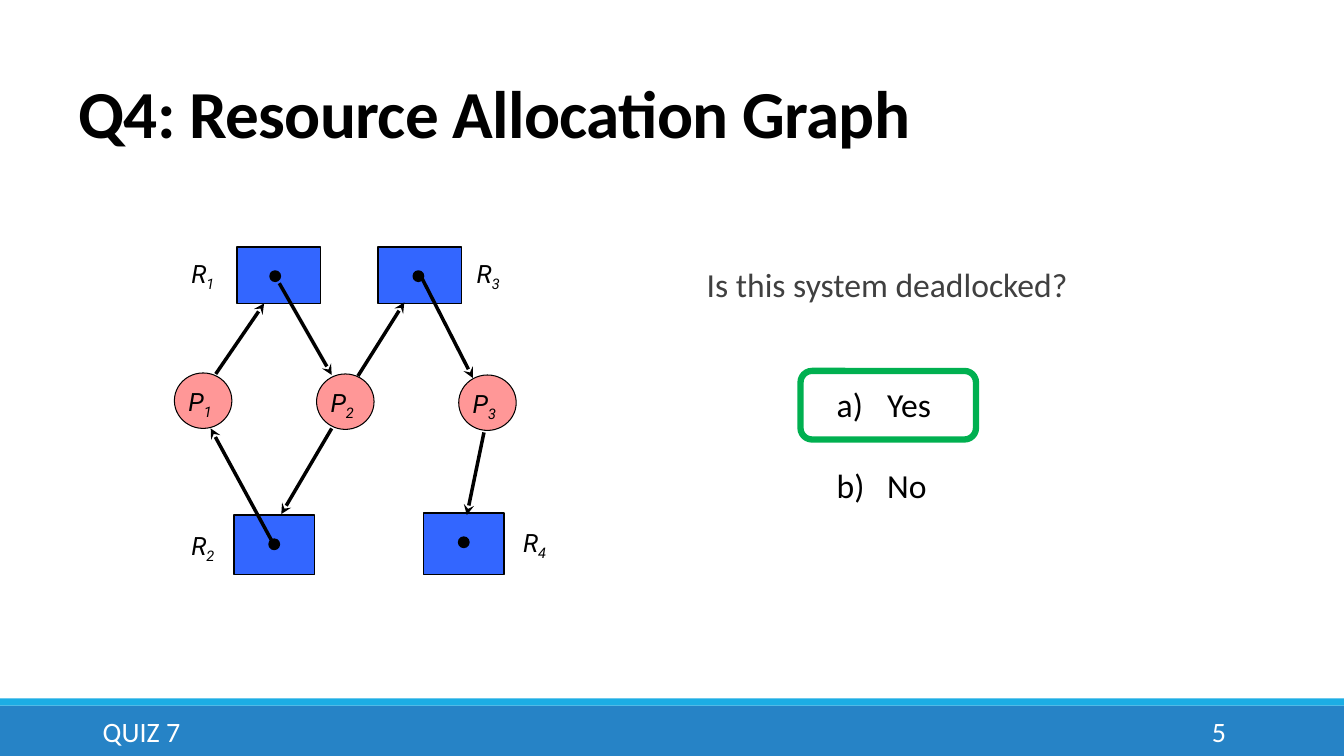
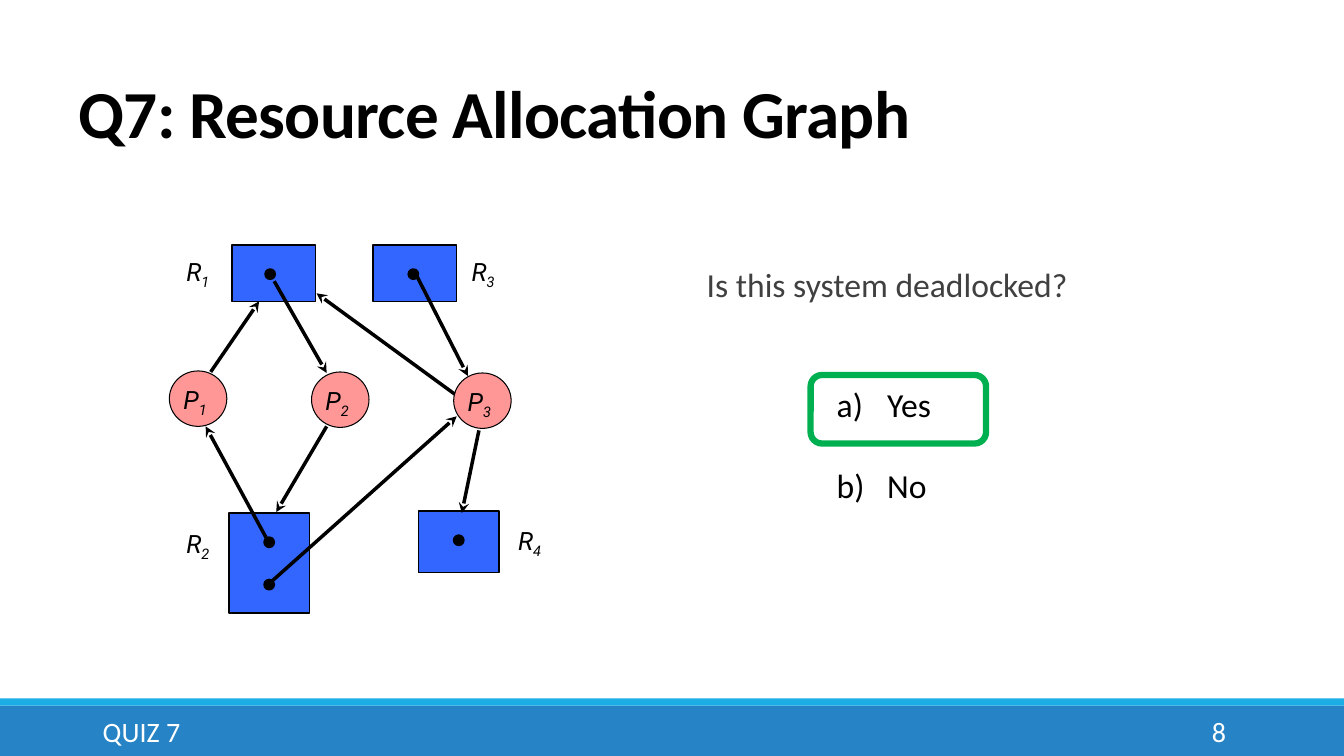
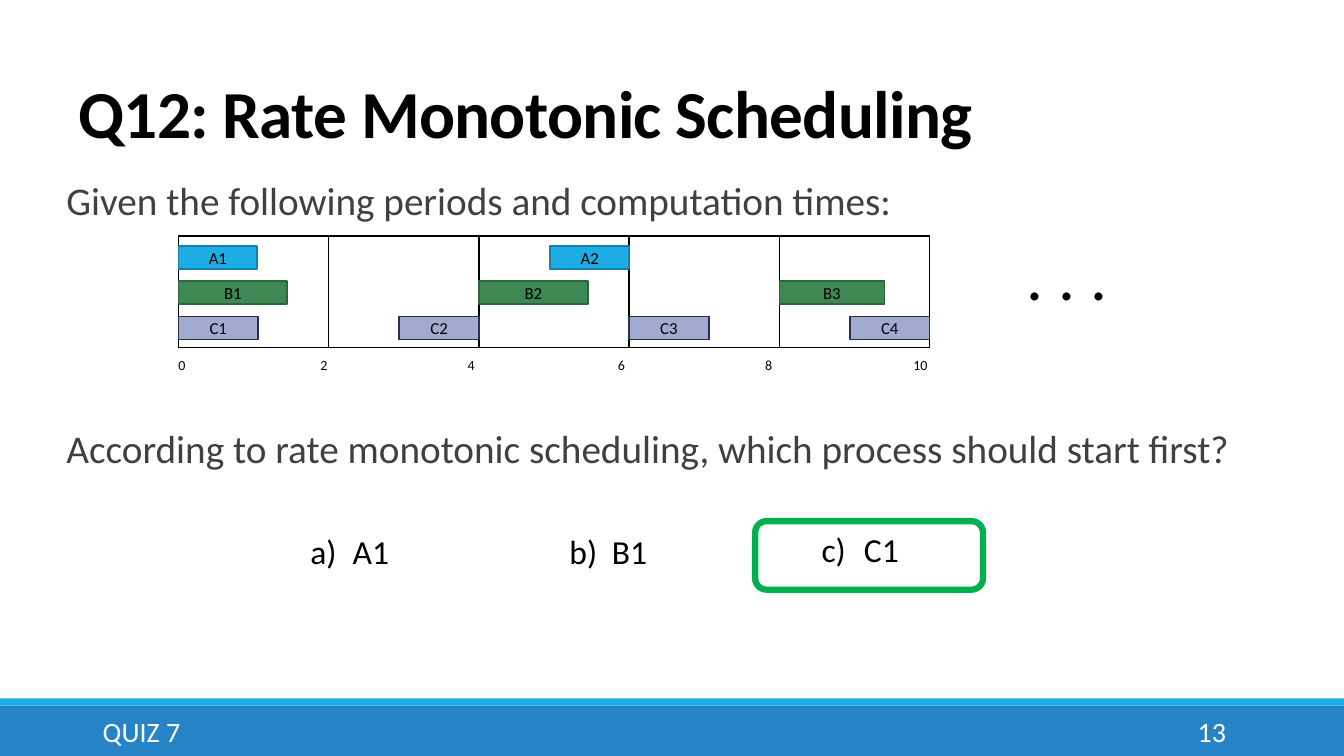
"""Build three quiz slides: two resource allocation graphs and one schedule."""
from dataclasses import dataclass

from lxml.etree import SubElement
from pptx import Presentation
from pptx.dml.color import RGBColor
from pptx.enum.shapes import MSO_CONNECTOR as CONN, MSO_SHAPE as SHAPE
from pptx.enum.text import MSO_ANCHOR as ANCHOR, PP_ALIGN as ALIGN
from pptx.oxml.ns import qn
from pptx.util import Inches, Pt


@dataclass(frozen=True)
class Theme:
    font: str = "Calibri"
    graph_font: str = "Roboto"
    black: str = "000000"
    white: str = "FFFFFF"
    body: str = "404040"
    footer: str = "2683C6"
    accent: str = "1CADE4"
    resource: str = "3366FF"
    process: str = "FF9797"
    answer: str = "00B050"
    title_pt: int = 48
    body_pt: int = 28
    option_pt: int = 24
    footer_pt: int = 20
    node_pt: int = 18
    bar_pt: int = 12
    tick_pt: int = 10


T = Theme()

FOOTER = "QUIZ 7"
QUESTION = "Is this system deadlocked?"
ANSWERS = ["Yes", "No"]

RESOURCES = {
    "R1": dict(box=(2.35, 2.45, 0.83, 0.56), label=(1.8, 2.51), dot=0.33),
    "R3": dict(box=(3.75, 2.45, 0.83, 0.56), label=(4.63, 2.51), dot=0.35),
    "R4": dict(box=(4.2, 5.09, 0.8, 0.61), label=(5.09, 5.18), dot=0.35),
    "R2": dict(box=(2.32, 5.11, 0.8, 0.59), label=(1.8, 5.21), dot=0.35),
}
PROCESSES = ["P1", "P2", "P3"]
EDGES = {
    "R2-P1": (2.72, 5.41, 2.09, 4.25),
    "P2-R2": (3.29, 4.25, 2.79, 5.1),
    "P1-R1": (2.14, 3.71, 2.62, 3.01),
    "R3-P3": (4.18, 2.75, 4.69, 3.75),
    "R1-P2": (2.77, 2.81, 3.29, 3.72),
    "P3-R4": (4.8, 4.29, 4.63, 5.11),
    "P2-R3": (3.55, 3.73, 4.01, 3),
    "R2-P3": (2.72, 5.81, 4.58, 4.15),
    "P3-R1": (4.56, 3.93, 3.19, 2.93),
}
SHARED_EDGES = ["R2-P1", "P2-R2", "P1-R1", "R3-P3", "R1-P2", "P3-R4"]
GRAPHS = [
    dict(title="Q4: Resource Allocation Graph", page=5, shift=(0, 0),
         extra=["P2-R3"], double=None, mark=(7.94, 3.68)),
    dict(title="Q7: Resource Allocation Graph", page=8, shift=(-0.05, -0.02),
         extra=["R2-P3", "P3-R1"], double="R2", mark=(8.04, 3.72)),
]

SCHEDULE_TITLE = "Q12: Rate Monotonic Scheduling"
SCHEDULE_PAGE = 13
STATEMENTS = [
    (1.75, "Given the following periods and computation times:"),
    (4.21, "According to rate monotonic scheduling, which process should start first?"),
]
TICKS = [("0", 1.67), ("2", 3.08), ("4", 4.54), ("6", 6.03), ("8", 7.49), ("10", 8.96)]
JOBS = [
    ("1CADE4", "1580A9", [("A1", 0, 1.05), ("A2", 4.95, 1.05)]),
    ("3E8853", "2E653D", [("B1", 0, 1.45), ("B2", 4, 1.45), ("B3", 8, 1.4)]),
    ("A1ABD0", "27304E", [("C1", 0, 1.06), ("C2", 2.94, 1.06), ("C3", 6, 1.06),
                          ("C4", 8.94, 1.06)]),
]
CHOICES = [("a)\tA1", 2.98, 5.22), ("b)\tB1", 5.55, 5.22), ("c)\tC1", 8.05, 5.2)]


def rgb(value):
    return RGBColor.from_string(value)


def style(run, size, color=T.black, font=T.font, bold=None, italic=None):
    f = run.font
    f.size, f.name, f.bold, f.italic = Pt(size), font, bold, italic
    f.color.rgb = rgb(color)


def add_text(s, at, text, size, color=T.black, wrap=True, align=None,
             anchor=ANCHOR.TOP, spacing=None, inset=0.1, bold=None):
    tf = s.shapes.add_textbox(*map(Inches, at)).text_frame
    tf.word_wrap, tf.vertical_anchor = wrap, anchor
    tf.margin_left = tf.margin_right = Inches(inset)
    tf.text = text
    for p in tf.paragraphs:
        p.alignment, p.line_spacing = align, spacing
        for r in p.runs:
            style(r, size, color, bold=bold)
    return tf


def add_shape(s, kind, at, fill=None, line=None, width=1):
    sp = s.shapes.add_shape(kind, *map(Inches, at))
    sp.shadow.inherit = False
    if fill:
        sp.fill.solid()
        sp.fill.fore_color.rgb = rgb(fill)
    else:
        sp.fill.background()
    if line:
        sp.line.color.rgb = rgb(line)
        sp.line.width = Pt(width)
    else:
        sp.line.fill.background()
    return sp


def add_line(s, ends, width=1, arrow=False):
    c = s.shapes.add_connector(CONN.STRAIGHT, *map(Inches, ends))
    c.line.color.rgb = rgb(T.black)
    c.line.width = Pt(width)
    if arrow:
        SubElement(c.line._get_or_add_ln(), qn("a:tailEnd"), type="stealth")
    SubElement(c._element.spPr, qn("a:effectLst"))


def add_node_label(s, x, y, name):
    tf = add_text(s, (x, y, 0.47, 0.4), name[0], T.node_pt)
    p = tf.paragraphs[0]
    p.add_run().text = name[1:]
    for r in p.runs:
        style(r, T.node_pt, font=T.graph_font, italic=True)
    p.runs[1].font._element.set("baseline", "-25000")


def mark_answer(s, x, y, w):
    add_shape(s, SHAPE.ROUNDED_RECTANGLE, (x, y, w, 0.68), line=T.answer, width=4.5)


def base_slide(prs, title, page):
    s = prs.slides.add_slide(prs.slide_layouts[6])
    add_shape(s, SHAPE.RECTANGLE, (0, 7, 13.33, 0.5), T.footer)
    add_shape(s, SHAPE.RECTANGLE, (0, 6.93, 13.33, 0.07), T.accent)
    tf = add_text(s, (0.68, 0.71, 11, 0.85), title, T.title_pt, anchor=ANCHOR.BOTTOM,
                  spacing=0.85, bold=True)
    tf.paragraphs[0].runs[0].font._element.set("spc", "-50")
    add_text(s, (0.92, 7.06, 8.39, 0.4), FOOTER, T.footer_pt, T.white, anchor=ANCHOR.MIDDLE)
    add_text(s, (10.83, 7.06, 1.43, 0.4), str(page), T.footer_pt, T.white,
             align=ALIGN.RIGHT, anchor=ANCHOR.MIDDLE)
    return s


def add_answers(s):
    tf = add_text(s, (8.2, 3.76, 1.15, 1.31), "\n".join(ANSWERS), T.option_pt, wrap=False)
    for i, p in enumerate(tf.paragraphs):
        if i:
            p.space_before = Pt(29.3)
        pPr = p._p.get_or_add_pPr()
        pPr.set("marL", str(Inches(0.5)))
        pPr.set("indent", str(-Inches(0.5)))
        SubElement(pPr, qn("a:buFont"), typeface="+mj-lt")
        SubElement(pPr, qn("a:buAutoNum"), type="alphaLcParenR")


def graph_slide(prs, graph):
    s = base_slide(prs, graph["title"], graph["page"])
    dx, dy = graph["shift"]
    for name, res in RESOURCES.items():
        x, y, w, h = res["box"]
        x, y = x + dx, y + dy
        dots = 2 if name == graph["double"] else 1
        add_shape(s, SHAPE.RECTANGLE, (x, y, w, h + 0.4 * (dots - 1)), T.resource, T.black)
        for i in range(dots):
            add_shape(s, SHAPE.OVAL, (x + res["dot"], y + 0.24 + 0.42 * i, 0.1, 0.1),
                      T.black, T.black, 1.25)
        lx, ly = res["label"]
        add_node_label(s, lx + dx, ly + dy, name)
    for i, name in enumerate(PROCESSES):
        x, y = 1.73 + 1.41 * i + dx, 3.7 + 0.01 * i + dy
        add_shape(s, SHAPE.OVAL, (x, y, 0.57, 0.55), T.process, T.black, 0.75)
        add_node_label(s, x + 0.04, y + 0.08, name)
    for key in SHARED_EDGES + graph["extra"]:
        x1, y1, x2, y2 = EDGES[key]
        add_line(s, (x1 + dx, y1 + dy, x2 + dx, y2 + dy), 2.5, arrow=True)
    add_text(s, (7.01, 2.61, 4.36, 0.6), QUESTION, T.option_pt, T.body, spacing=0.9, inset=0)
    mark_answer(s, *graph["mark"], 1.74)
    add_answers(s)


def schedule_slide(prs):
    s = base_slide(prs, SCHEDULE_TITLE, SCHEDULE_PAGE)
    left, top, bottom, step = 1.77, 2.34, 3.45, 1.49
    right = left + step * (len(TICKS) - 1)
    for y in (top, bottom):
        add_line(s, (left, y, right, y))
    for i, (label, x) in enumerate(TICKS):
        add_line(s, (left + step * i, bottom, left + step * i, top))
        add_text(s, (x, 3.49, 0.27 if len(label) == 1 else 0.35, 0.27), label,
                 T.tick_pt, wrap=False)
    for row, (fill, line, bars) in enumerate(JOBS):
        for name, start, length in bars:
            at = (left + start * step / 2, 2.44 + 0.35 * row, length * step / 2, 0.23)
            tf = add_shape(s, SHAPE.RECTANGLE, at, fill, line, 1.25).text_frame
            tf.margin_top = tf.margin_bottom = 0
            tf.vertical_anchor = ANCHOR.MIDDLE
            tf.text = name
            tf.paragraphs[0].alignment = ALIGN.CENTER
            style(tf.paragraphs[0].runs[0], T.bar_pt)
    add_text(s, (10.08, 2.27, 1.02, 0.91), ". . .", T.title_pt, wrap=False)
    for y, text in STATEMENTS:
        add_text(s, (0.66, y, 12.1, 0.6), text, T.body_pt, T.body, spacing=0.9, inset=0)
    mark_answer(s, 7.49, 5.17, 2.26)
    for text, x, y in CHOICES:
        p = add_text(s, (x, y, 1.2, 0.5), text, T.option_pt).paragraphs[0]
        tabs = SubElement(p._p.get_or_add_pPr(), qn("a:tabLst"))
        SubElement(tabs, qn("a:tab"), pos=str(Inches(0.42)), algn="l")


def main():
    prs = Presentation()
    prs.slide_width, prs.slide_height = Inches(13.33), Inches(7.5)
    for graph in GRAPHS:
        graph_slide(prs, graph)
    schedule_slide(prs)
    prs.save("out.pptx")


if __name__ == "__main__":
    main()
